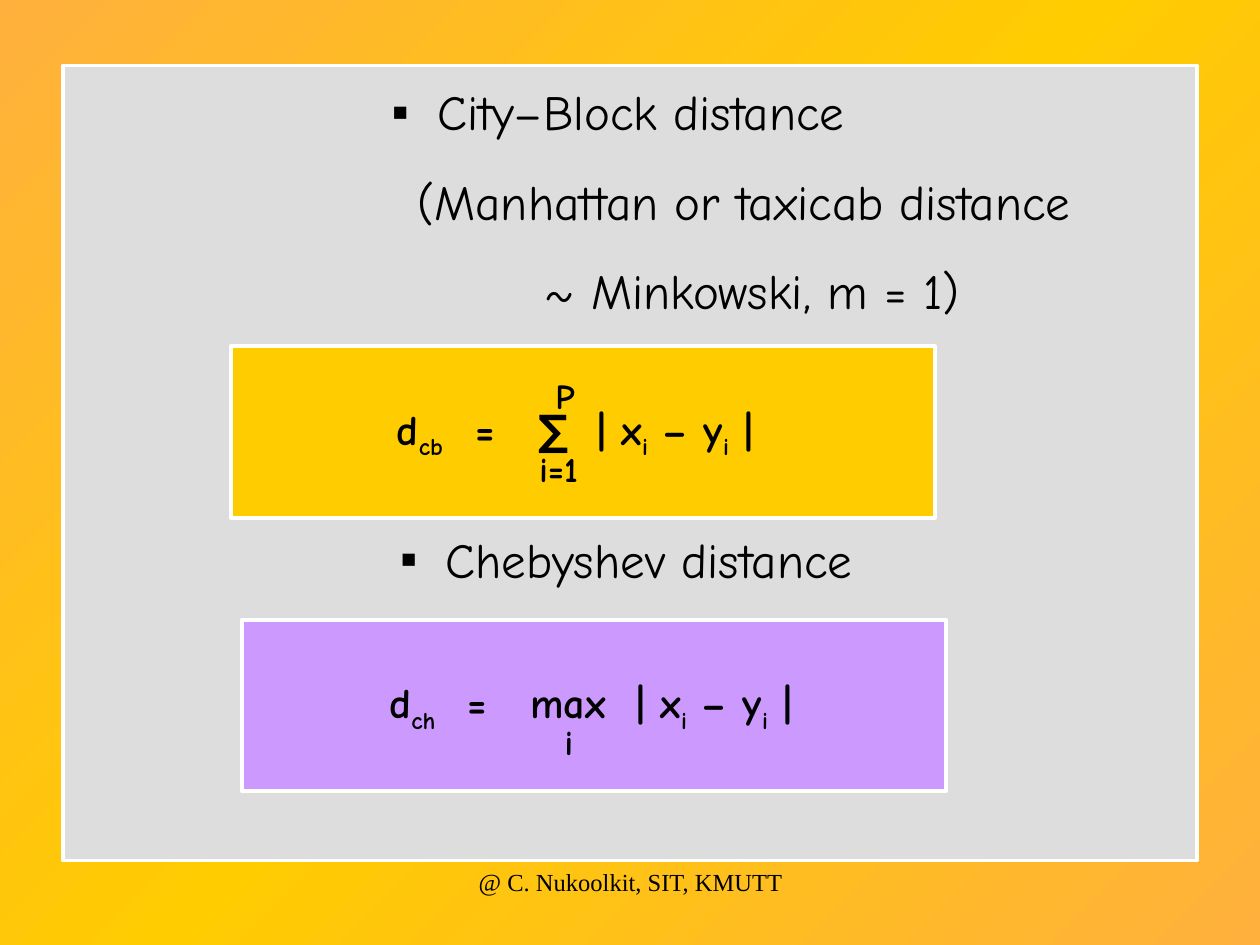
import copy
from dataclasses import dataclass

import pptx
import pptx.dml.color
import pptx.enum.shapes
import pptx.enum.text
import pptx.oxml
import pptx.oxml.ns
import pptx.util
from pptx.util import Inches

Align = pptx.enum.text.PP_ALIGN
Anchor = pptx.enum.text.MSO_ANCHOR


@dataclass(frozen=True)
class Theme:
    edge: str = "FFB03D"
    gold: str = "FFCC00"
    violet: str = "CC99FF"
    panel: str = "DDDDDD"
    border: str = "FFFFFF"
    ink: str = "000000"
    font: str = "Comic Neue"
    footer_font: str = "Times New Roman"
    list_size: float = 28
    formula_size: float = 24
    limit_size: float = 20
    footer_size: float = 14
    list_gap: float = 17.5
    section_gap: float = 120
    border_width: float = 2.25


THEME = Theme()


def rgb(value):
    return pptx.dml.color.RGBColor.from_string(value)


def add_property(para, xml):
    namespace = pptx.oxml.ns.nsdecls("a")
    element = pptx.oxml.parse_xml(xml.replace("/>", f" {namespace}/>", 1)
                                  if xml.endswith("/>") and xml.count("<") == 1
                                  else xml.replace(">", f" {namespace}>", 1))
    para._p.get_or_add_pPr().append(element)


def style_para(para, size, name=THEME.font, bold=False, align=Align.CENTER):
    para.alignment = align
    para.space_before = pptx.util.Pt(0)
    para.font.size = pptx.util.Pt(size)
    para.font.name = name
    para.font.bold = bold
    para.font.color.rgb = rgb(THEME.ink)


def paint_background(page):
    fill = page.background.fill
    fill.gradient()
    fill.gradient_angle = 135
    stops = page.element.find(".//" + pptx.oxml.ns.qn("a:gsLst"))
    stops.append(copy.deepcopy(stops[0]))
    colors = (THEME.edge, THEME.gold, THEME.edge)
    for stop, position, color in zip(fill.gradient_stops, (0, 0.5, 1), colors):
        stop.position = position
        stop.color.rgb = rgb(color)


def add_panel(page, box, color):
    panel = page.shapes.add_shape(
        pptx.enum.shapes.MSO_SHAPE.RECTANGLE, *map(Inches, box))
    panel.shadow.inherit = False
    panel.fill.solid()
    panel.fill.fore_color.rgb = rgb(color)
    panel.line.color.rgb = rgb(THEME.border)
    panel.line.width = pptx.util.Pt(THEME.border_width)
    return panel


def fill_list(body, box, items):
    body.left, body.top, body.width, body.height = map(Inches, box)
    frame = body.text_frame
    frame.auto_size = pptx.enum.text.MSO_AUTO_SIZE.NONE
    frame.vertical_anchor = Anchor.TOP
    for index, (text, bulleted, gap) in enumerate(items):
        para = frame.add_paragraph() if index else frame.paragraphs[0]
        para.text = text
        margin = Inches(0.36) if bulleted else Inches(2)
        properties = para._p.get_or_add_pPr()
        properties.set("marL", str(margin))
        properties.set("indent", str(-margin if bulleted else 0))
        if bulleted:
            add_property(para, '<a:buFont typeface="Arial"/>')
            add_property(para, '<a:buChar char="▪"/>')
        else:
            add_property(para, "<a:buNone/>")
        style_para(para, THEME.list_size)
        para.space_before = pptx.util.Pt(gap)


def add_formula(page, box, color, subscript, operator, start, bar):
    frame = add_panel(page, box, color).text_frame
    frame.word_wrap = True
    frame.vertical_anchor = Anchor.MIDDLE
    frame.margin_left = Inches(start)
    para = frame.paragraphs[0]
    stops = "".join(f'<a:tab pos="{Inches(stop)}" algn="l"/>'
                    for stop in (0.62, 1.12, bar))
    add_property(para, f"<a:tabLst>{stops}</a:tabLst>")
    style_para(para, THEME.formula_size, bold=True, align=Align.LEFT)
    pieces = ("d", subscript, f"\t=\t{operator}\t| x", "i", " – y", "i", " |")
    for index, piece in enumerate(pieces):
        span = para.add_run()
        span.text = piece
        if index % 2:
            span._r.get_or_add_rPr().set("baseline", "-25000")


def add_label(page, box, text, size, **style):
    frame = page.shapes.add_textbox(*map(Inches, box)).text_frame
    frame.word_wrap = True
    frame.text = text
    style_para(frame.paragraphs[0], size, **style)


def build_distance_slide(deck):
    page = deck.slides.add_slide(deck.slide_layouts[1])
    title = page.shapes.title.element
    title.getparent().remove(title)
    body = page.placeholders[1]
    paint_background(page)

    panel = add_panel(page, (0.5, 0.52, 9, 6.31), THEME.panel)
    panel.element.addnext(body.element)
    fill_list(body, (0.51, 0.6, 8.92, 4.12), (
        ("City–Block distance ", True, 0),
        ("(Manhattan or taxicab distance ", False, THEME.list_gap),
        ("~ Minkowski, m = 1)", False, THEME.list_gap),
        ("Chebyshev distance", True, THEME.section_gap),
    ))

    add_formula(page, (1.83, 2.75, 5.59, 1.36), THEME.gold, "cb", "∑", 1.32, 1.59)
    add_formula(page, (1.92, 4.92, 5.59, 1.36), THEME.violet, "ch", "max", 1.17, 1.96)
    for text, box in (("P", (4.25, 2.92, 0.47, 0.44)),
                      ("i=1", (4, 3.5, 0.87, 0.44)),
                      ("i", (4.08, 5.67, 0.87, 0.44))):
        add_label(page, box, text, THEME.limit_size, bold=True)

    add_label(page, (3.42, 6.83, 3.17, 0.5), "@ C. Nukoolkit, SIT, KMUTT",
              THEME.footer_size, name=THEME.footer_font)


def main():
    deck = pptx.Presentation()
    deck.slide_width, deck.slide_height = Inches(10), Inches(7.5)
    build_distance_slide(deck)
    deck.save("out.pptx")


if __name__ == "__main__":
    main()
